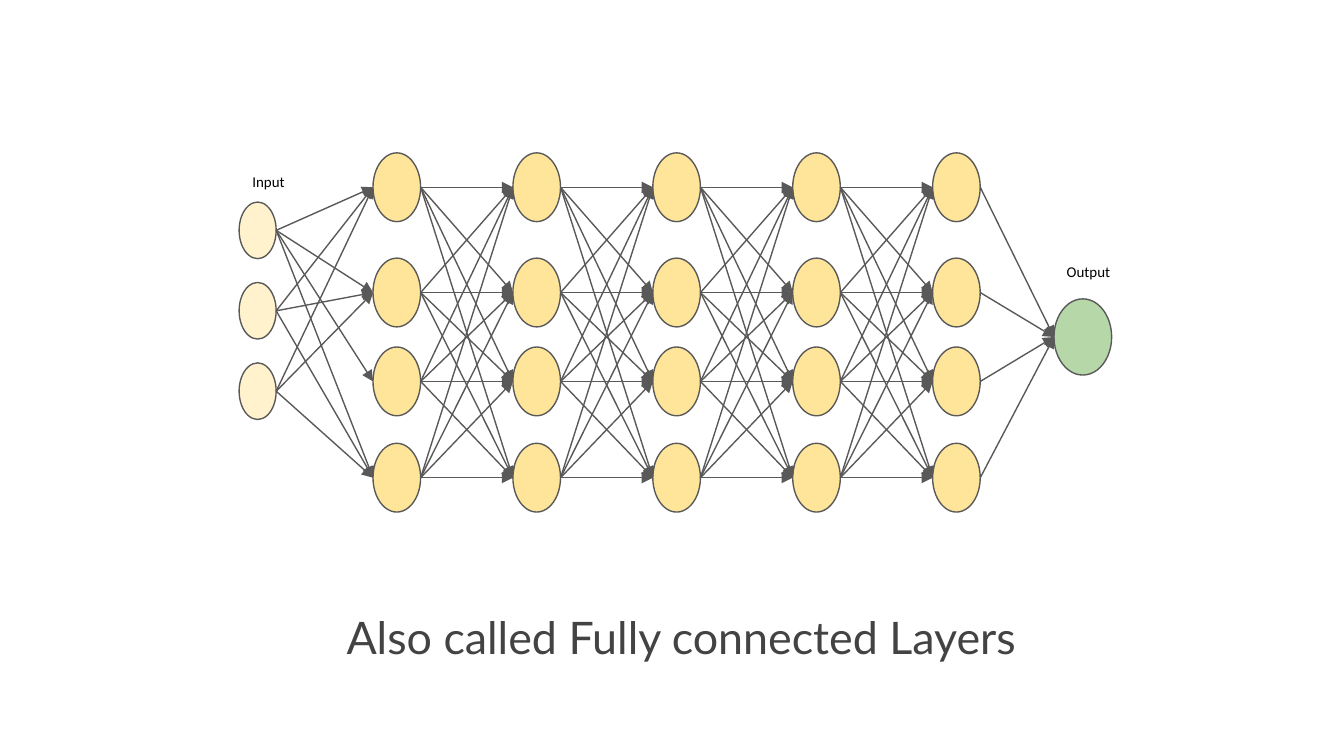
"""Build a slide showing a fully connected neural network."""
from dataclasses import dataclass
from itertools import pairwise, product

from lxml import etree
from pptx import Presentation
from pptx.dml.color import RGBColor
from pptx.enum.shapes import MSO_CONNECTOR, MSO_SHAPE
from pptx.enum.text import MSO_ANCHOR, PP_ALIGN
from pptx.oxml.ns import qn
from pptx.slide import Slide
from pptx.util import Cm, Pt

OVAL = MSO_SHAPE.OVAL
STRAIGHT = MSO_CONNECTOR.STRAIGHT
MIDDLE = MSO_ANCHOR.MIDDLE
LEFT, CENTER = PP_ALIGN.LEFT, PP_ALIGN.CENTER


@dataclass(frozen=True)
class Theme:
    input_fill: str = "FFF2CC"
    hidden_fill: str = "FFE599"
    output_fill: str = "B6D7A8"
    outline: str = "595959"
    label_color: str = "000000"
    caption_color: str = "434343"
    label_font: str = "Calibri"
    caption_font: str = "Lato"
    label_size: float = 8
    caption_size: float = 24
    line_width: float = 0.75
    inset: float = 0.25


@dataclass(frozen=True)
class Layer:
    left: float
    tops: tuple[float, ...]
    width: float
    height: float
    fill: str

    @property
    def right(self) -> float:
        return self.left + self.width

    @property
    def centers(self) -> list[float]:
        return [top + self.height / 2 for top in self.tops]


@dataclass(frozen=True)
class Label:
    text: str
    box: tuple[float, float, float, float]
    font: str
    size: float
    color: str
    alignment: PP_ALIGN = LEFT


THEME = Theme()
HIDDEN_COUNT, HIDDEN_LEFT, HIDDEN_PITCH = 5, 7.05, 2.644
HIDDEN_TOPS = (2.89, 4.88, 6.56, 8.38)
INPUT_TOPS = tuple(3.82 + 1.52 * row for row in range(3))

INPUT_LAYER = Layer(4.52, INPUT_TOPS, 0.7, 1.07, THEME.input_fill)
HIDDEN_LAYERS = [
    Layer(HIDDEN_LEFT + HIDDEN_PITCH * column, HIDDEN_TOPS, 0.9, 1.3, THEME.hidden_fill)
    for column in range(HIDDEN_COUNT)
]
OUTPUT_LAYER = Layer(19.92, (5.65,), 1.09, 1.44, THEME.output_fill)
LAYERS = [INPUT_LAYER, *HIDDEN_LAYERS, OUTPUT_LAYER]
MISSING_INPUT_LINKS = {(1, 2), (2, 2)}

LABELS = [
    Label("Input", (4.52, 3.23, 1.4, 0.41),
          THEME.label_font, THEME.label_size, THEME.label_color),
    Label("Output", (19.91, 4.93, 2.16, 0.41),
          THEME.label_font, THEME.label_size, THEME.label_color),
    Label("Also called Fully connected Layers", (2.79, 10.92, 20.17, 2.21),
          THEME.caption_font, THEME.caption_size, THEME.caption_color, CENTER),
]


def draw_nodes(slide: Slide, layer: Layer) -> None:
    for top in layer.tops:
        node = slide.shapes.add_shape(
            OVAL, Cm(layer.left), Cm(top), Cm(layer.width), Cm(layer.height)
        )
        node.shadow.inherit = False
        node.fill.solid()
        node.fill.fore_color.rgb = RGBColor.from_string(layer.fill)
        node.line.color.rgb = RGBColor.from_string(THEME.outline)
        node.line.width = Pt(THEME.line_width)


def draw_arrow(slide: Slide, start: tuple[float, float], end: tuple[float, float]) -> None:
    arrow = slide.shapes.add_connector(STRAIGHT, *map(Cm, start + end))
    arrow.line.color.rgb = RGBColor.from_string(THEME.outline)
    arrow.line.width = Pt(THEME.line_width)
    properties = arrow.element.spPr
    etree.SubElement(properties.find(qn("a:ln")), qn("a:tailEnd"), type="triangle")
    etree.SubElement(properties, qn("a:effectLst"))


def draw_links(slide: Slide, source: Layer, target: Layer) -> None:
    missing = MISSING_INPUT_LINKS if source is INPUT_LAYER else set()
    pairs = product(enumerate(source.centers), enumerate(target.centers))
    for (source_row, start_y), (target_row, end_y) in pairs:
        if (source_row, target_row) not in missing:
            draw_arrow(slide, (source.right, start_y), (target.left, end_y))


def draw_label(slide: Slide, label: Label) -> None:
    frame = slide.shapes.add_textbox(*map(Cm, label.box)).text_frame
    inset = Cm(THEME.inset)
    frame_format = {
        "word_wrap": True, "vertical_anchor": MIDDLE,
        "margin_left": inset, "margin_right": inset,
        "margin_top": inset, "margin_bottom": inset,
    }
    for name, value in frame_format.items():
        setattr(frame, name, value)
    paragraph = frame.paragraphs[0]
    paragraph.alignment = label.alignment
    run = paragraph.add_run()
    run.text = label.text
    for name, value in {"name": label.font, "size": Pt(label.size)}.items():
        setattr(run.font, name, value)
    run.font.color.rgb = RGBColor.from_string(label.color)


def main() -> None:
    presentation = Presentation()
    presentation.slide_width, presentation.slide_height = Cm(25.4), Cm(14.29)
    slide = presentation.slides.add_slide(presentation.slide_layouts[6])
    for layer in LAYERS:
        draw_nodes(slide, layer)
    for source, target in pairwise(LAYERS):
        draw_links(slide, source, target)
    for label in LABELS:
        draw_label(slide, label)
    presentation.save("out.pptx")


if __name__ == "__main__":
    main()
